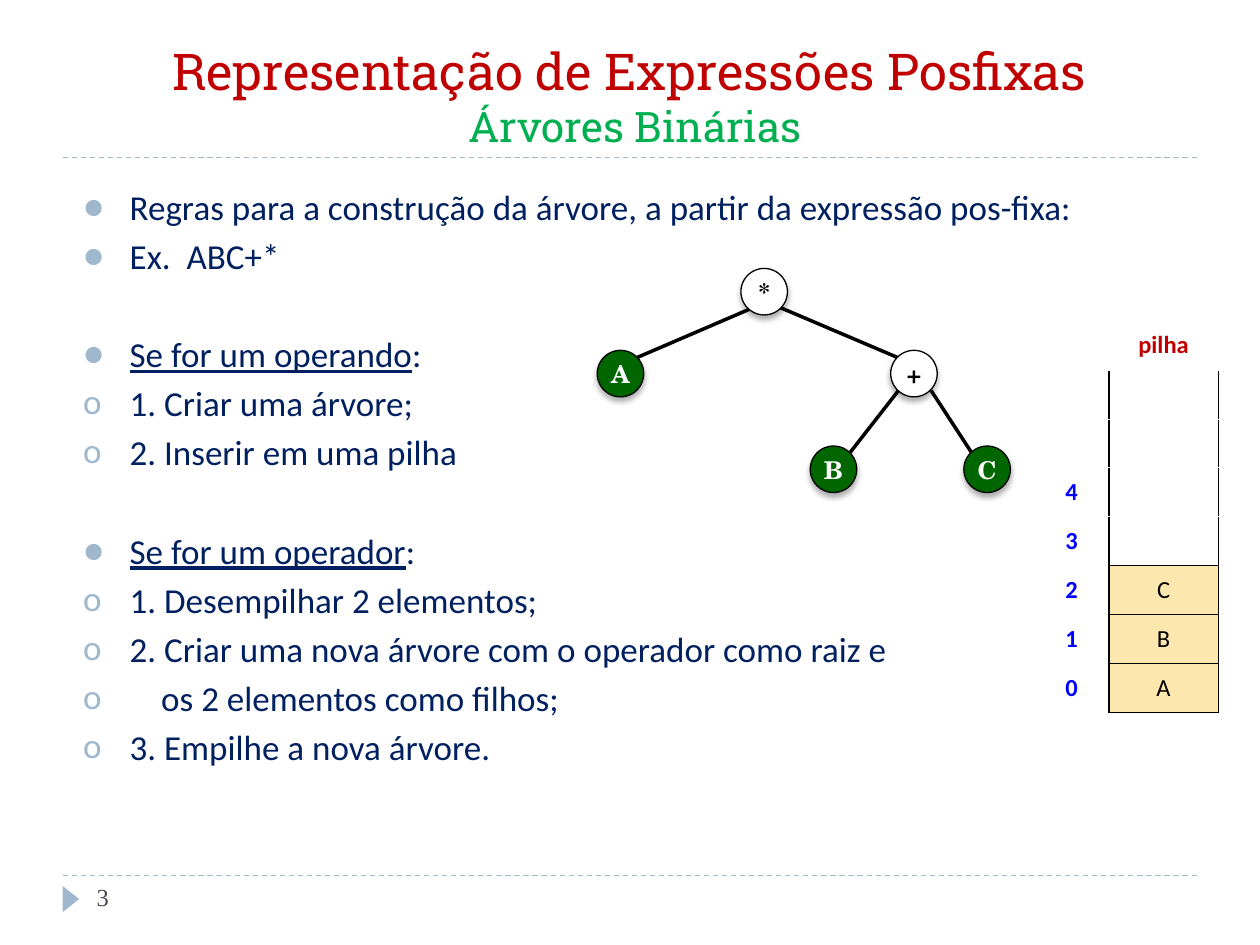
from lxml.etree import SubElement
from pptx import Presentation
from pptx.dml.color import RGBColor
from pptx.enum.dml import MSO_LINE
from pptx.enum.shapes import MSO_CONNECTOR, MSO_SHAPE
from pptx.enum.text import MSO_ANCHOR, MSO_AUTO_SIZE, PP_ALIGN
from pptx.oxml.ns import qn
from pptx.util import Pt

COLORS = {
    "title": "C00000", "subtitle": "00B050", "body": "002060",
    "accent": "9FB8CD", "number": "464653", "index": "0000FF",
    "leaf": "006600", "stack": "FCE8AE", "white": "FFFFFF", "black": "000000",
}


def format_font(font, name, size, color, bold=False):
    font.name, font.size, font.bold = name, Pt(size), bold
    font.color.rgb = RGBColor.from_string(COLORS[color])


def add_line(shapes, start, end, color, width):
    line = shapes.add_connector(
        MSO_CONNECTOR.STRAIGHT, *[Pt(value) for value in start + end])
    line.line.color.rgb = RGBColor.from_string(COLORS[color])
    line.line.width = Pt(width)
    SubElement(line._element.spPr, qn("a:effectLst"))
    return line


deck = Presentation()
deck.slide_width, deck.slide_height = Pt(720), Pt(540)
page = deck.slides.add_slide(deck.slide_layouts[1])

# Dashed rules, page marker and page number
for y in (500.4, 90):
    rule = add_line(page.shapes, (36, y), (684, y), "accent", 0.75)
    rule.line.dash_style = MSO_LINE.DASH
marker = page.shapes.add_shape(
    MSO_SHAPE.ISOSCELES_TRIANGLE, Pt(33), Pt(509), Pt(15), Pt(9.5))
marker.rotation = 90
marker.shadow.inherit = False
marker.fill.solid()
marker.fill.fore_color.rgb = RGBColor.from_string(COLORS["accent"])
marker.line.fill.background()
number_box = page.shapes.add_textbox(Pt(48.2), Pt(500.4), Pt(156), Pt(28.8))
number_box.text_frame.word_wrap = True
number_box.text_frame.text = "3"
format_font(number_box.text_frame.paragraphs[0].runs[0].font,
            "Times New Roman", 14, "number")

# Title
title = page.shapes.title
title.left, title.top, title.width, title.height = Pt(36), Pt(18), Pt(648), Pt(72)
title.text_frame.text = "Representação de Expressões Posfixas\v Árvores Binárias"
title.text_frame.auto_size = MSO_AUTO_SIZE.NONE
title.text_frame.vertical_anchor = MSO_ANCHOR.BOTTOM
para = title.text_frame.paragraphs[0]
para.alignment = PP_ALIGN.CENTER
for span, size, color in zip(para.runs, (29, 24), ("title", "subtitle")):
    format_font(span.font, "Roboto Slab", size, color)

# Rules: bullet, underlined part, plain part, space before, extra indent
RULES = [
    ("●", "", "Regras para a construção da árvore, a partir da expressão pos-fixa:", 0, 0),
    ("●", "", "Ex.  ABC+*", 4, 0),
    ("●", "Se for um operando", ":", 32.4, 0),
    ("o", "", "1. Criar uma árvore;", 4, 0),
    ("o", "", "2. Inserir em uma pilha", 4, 0),
    ("●", "Se for um operador", ":", 32.4, 0),
    ("o", "", "1. Desempilhar 2 elementos;", 4, 0),
    ("o", "", "2. Criar uma nova árvore com o operador como raiz e", 4, 0),
    ("o", "", "os 2 elementos como filhos;", 4, 18),
    ("o", "", "3. Empilhe a nova árvore.", 4, 0),
]
body = page.placeholders[1]
body.left, body.top, body.width, body.height = Pt(40.3), Pt(102.2), Pt(643.7), Pt(357.8)
body.text_frame.auto_size = MSO_AUTO_SIZE.NONE
for index, (bullet, underlined, plain, space, extra) in enumerate(RULES):
    para = body.text_frame.paragraphs[0] if index == 0 else body.text_frame.add_paragraph()
    para.alignment = PP_ALIGN.JUSTIFY
    para.space_before = Pt(space)
    for text in filter(None, (underlined, plain)):
        span = para.add_run()
        span.text = text
        format_font(span.font, "Calibri", 20, "body")
        span.font.underline = text == underlined
    properties = para._p.get_or_add_pPr()
    properties.set("marL", str(Pt(26.6 + extra)))
    properties.set("indent", str(-Pt(26.6 + extra)))
    bullet_color = SubElement(properties, qn("a:buClr"))
    SubElement(bullet_color, qn("a:srgbClr"), val=COLORS["accent"])
    SubElement(properties, qn("a:buFont"), typeface="Calibri")
    SubElement(properties, qn("a:buChar"), char=bullet)

# Expression tree: edges first, then nodes
tree = page.shapes.add_group_shape()
EDGES = [
    ((363.6, 204.5), (430.6, 175.7)), ((513.4, 204.5), (445.7, 175.7)),
    ((485.3, 259.2), (513.4, 223.2)), ((555.1, 258.5), (532.1, 223.2)),
]
for start, end in EDGES:
    add_line(tree.shapes, start, end, "black", 2)
NODES = [("*", 423.4, 153.4), ("A", 341.3, 200.2), ("+", 509, 200.2),
         ("B", 463, 254.9), ("C", 550.8, 254.9)]
for label, left, top in NODES:
    fill, ink = ("leaf", "white") if label.isalpha() else ("white", "black")
    node = tree.shapes.add_shape(
        MSO_SHAPE.OVAL, Pt(left), Pt(top), Pt(26.6), Pt(26.6))
    node.fill.solid()
    node.fill.fore_color.rgb = RGBColor.from_string(COLORS[fill])
    node.line.color.rgb = RGBColor.from_string(COLORS["black"])
    node.line.width = Pt(0.75)
    effects = SubElement(node._element.spPr, qn("a:effectLst"))
    shadow = SubElement(effects, qn("a:outerShdw"), blurRad=str(Pt(3.5)),
                        dist=str(Pt(2.2)), dir="5400000", rotWithShape="0")
    shade = SubElement(shadow, qn("a:srgbClr"), val=COLORS["black"])
    SubElement(shade, qn("a:alpha"), val="32000")
    frame = node.text_frame
    frame.margin_left = frame.margin_right = frame.margin_top = frame.margin_bottom = 0
    frame.word_wrap = False
    frame.vertical_anchor = MSO_ANCHOR.MIDDLE
    frame.text = label
    frame.paragraphs[0].alignment = PP_ALIGN.CENTER
    format_font(frame.paragraphs[0].runs[0].font, "TeX Gyre Schola", 14, ink, True)

# Stack table: index column and stack column
STACK = [("", ""), ("", "pilha"), ("", ""), ("", ""), ("4", ""), ("3", ""),
         ("2", "C"), ("1", "B"), ("0", "A")]
table_frame = page.shapes.add_table(
    len(STACK), 2, Pt(591.1), Pt(157.7), Pt(105.1), Pt(249.6))
table = table_frame.table
table.first_row = table.horz_banding = False
table.columns[0].width, table.columns[1].width = Pt(42.5), Pt(62.6)
for row, texts in enumerate(STACK):
    table.rows[row].height = Pt(27.4 if row < 4 else 28)
    for column, text in enumerate(texts):
        cell = table.cell(row, column)
        filled = column == 1 and row >= 6
        if column == 1 and row >= 2:
            sides = ["lnL", "lnR"]
            sides += ["lnT"] if filled else []
            sides += ["lnB"] if row >= 5 else []
            for side in sides:
                border = SubElement(cell._tc.get_or_add_tcPr(), qn("a:" + side), w=str(Pt(1)))
                paint = SubElement(border, qn("a:solidFill"))
                SubElement(paint, qn("a:srgbClr"), val=COLORS["black"])
        cell.fill.solid()
        cell.fill.fore_color.rgb = RGBColor.from_string(COLORS["stack" if filled else "white"])
        if not text:
            cell.margin_top = cell.margin_bottom = 0
            continue
        heading = text == "pilha"
        if heading:
            cell.margin_left = cell.margin_right = 0
        cell.vertical_anchor = MSO_ANCHOR.TOP if heading else MSO_ANCHOR.MIDDLE
        cell.text_frame.text = text
        para = cell.text_frame.paragraphs[0]
        para.alignment = PP_ALIGN.CENTER
        color = "title" if heading else "black" if filled else "index"
        format_font(para.runs[0].font, "Calibri", 14, color, not filled)

deck.save("out.pptx")
